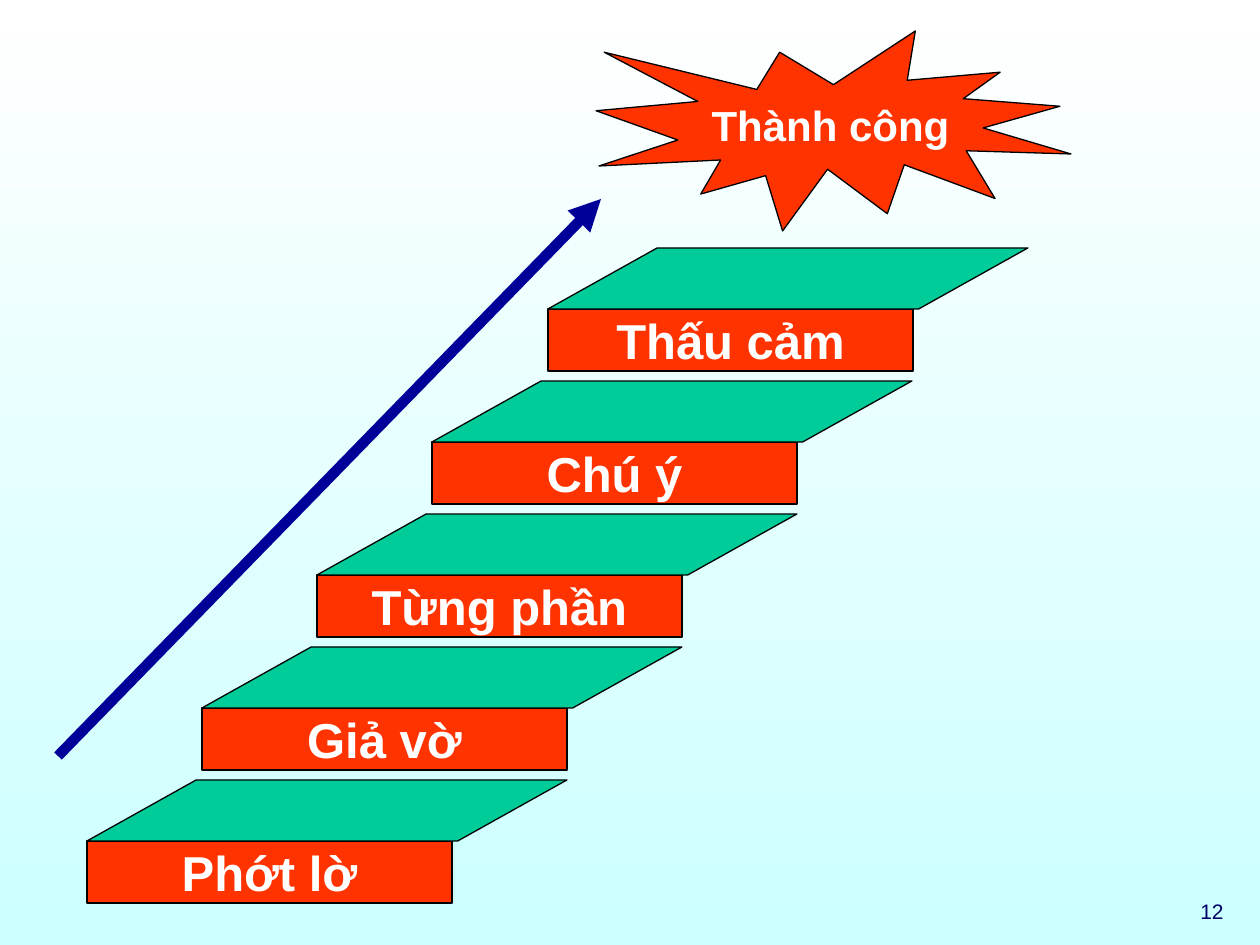
"""Build a staircase slide of listening levels that climb towards success."""
from dataclasses import dataclass

from lxml import etree
from pptx import Presentation
from pptx.dml.color import RGBColor
from pptx.enum.shapes import MSO_CONNECTOR, MSO_SHAPE
from pptx.enum.text import MSO_ANCHOR, PP_ALIGN
from pptx.oxml.ns import qn
from pptx.util import Emu, Pt

RECTANGLE = MSO_SHAPE.RECTANGLE
PARALLELOGRAM = MSO_SHAPE.PARALLELOGRAM
BURST = MSO_SHAPE.EXPLOSION1
STRAIGHT = MSO_CONNECTOR.STRAIGHT
MIDDLE = MSO_ANCHOR.MIDDLE
TOP = MSO_ANCHOR.TOP
CENTER = PP_ALIGN.CENTER
RIGHT = PP_ALIGN.RIGHT

WHITE = RGBColor(0xFF, 0xFF, 0xFF)
PALE_CYAN = RGBColor(0xCC, 0xFF, 0xFF)
BLACK = RGBColor(0x00, 0x00, 0x00)
RED = RGBColor(0xFF, 0x33, 0x00)
GREEN = RGBColor(0x00, 0xCC, 0x99)
BLUE = RGBColor(0x00, 0x00, 0x99)
NAVY = RGBColor(0x00, 0x00, 0x66)

FONT = "Arial"
PX_PER_INCH = 126
LEVELS = ("Phớt lờ", "Giả vờ", "Từng phần", "Chú ý", "Thấu cảm")
FIRST_LEFT, FIRST_TOP = 87, 780
TOTAL_RUN, RISE = 461, 133
TREAD_WIDTH, FRONT_WIDTH = 480, 365
TREAD_HEIGHT, FRONT_HEIGHT = 61, 62
TREAD_SLANT = 1.79


@dataclass(frozen=True)
class Box:
    """A rectangle in px."""
    left: int
    top: int
    width: int
    height: int

    def emu(self) -> tuple:
        """Return the four lengths in EMU."""
        return tuple(map(px, (self.left, self.top, self.width, self.height)))


@dataclass(frozen=True)
class Step:
    """One stair: its label and the corner of its tread."""
    label: str
    left: int
    top: int


def px(n: int) -> Emu:
    """Turn px into EMU."""
    return Emu(round(n * 914400 / PX_PER_INCH))


def add_block(shapes, kind, box: Box, fill: RGBColor):
    """Draw a filled shape with a thin black outline."""
    sp = shapes.add_shape(kind, *box.emu())
    sp.shadow.inherit = False
    sp.fill.solid()
    sp.fill.fore_color.rgb = fill
    sp.line.color.rgb = BLACK
    sp.line.width = Pt(0.75)
    return sp


def write(sp, text: str, size: int, color: RGBColor, bold: bool = True,
          align=CENTER, anchor=MIDDLE, wrap: bool = False) -> None:
    """Put one formatted line of text in a shape."""
    tf = sp.text_frame
    tf.word_wrap = wrap
    tf.vertical_anchor = anchor
    tf.text = text
    p = tf.paragraphs[0]
    p.alignment = align
    font = p.runs[0].font
    font.name, font.size, font.bold = FONT, Pt(size), bold
    font.color.rgb = color


def add_step(slide, step: Step) -> None:
    """Draw a labelled front with its slanted tread as one group."""
    shapes = slide.shapes.add_group_shape().shapes
    front = Box(step.left, step.top + TREAD_HEIGHT, FRONT_WIDTH, FRONT_HEIGHT)
    sp = add_block(shapes, RECTANGLE, front, RED)
    write(sp, step.label, 28, WHITE)
    sp.text_frame.margin_top = sp.text_frame.margin_bottom = 0
    tread = Box(step.left, step.top, TREAD_WIDTH, TREAD_HEIGHT)
    sp = add_block(shapes, PARALLELOGRAM, tread, GREEN)
    sp.adjustments[0] = TREAD_SLANT


def add_arrow(slide, start: tuple, end: tuple) -> None:
    """Draw a thick arrow between two points."""
    arrow = slide.shapes.add_connector(STRAIGHT, *map(px, start + end))
    arrow.line.color.rgb = BLUE
    arrow.line.width = Pt(6)
    properties = arrow._element.spPr
    etree.SubElement(properties.find(qn("a:ln")), qn("a:tailEnd"), type="triangle")
    etree.SubElement(properties, qn("a:effectLst"))


def set_background(slide) -> None:
    """Fill the background with a gradient from top to bottom."""
    fill = slide.background.fill
    fill.gradient()
    fill.gradient_angle = 270
    for stop, color in zip(fill.gradient_stops, (WHITE, PALE_CYAN)):
        stop.color.rgb = color


def main() -> None:
    """Build and save the slide."""
    prs = Presentation()
    prs.slide_width, prs.slide_height = px(1260), px(945)
    s = prs.slides.add_slide(prs.slide_layouts[6])
    set_background(s)

    for i, label in enumerate(LEVELS):
        left = FIRST_LEFT + TOTAL_RUN * i // (len(LEVELS) - 1)
        add_step(s, Step(label, left, FIRST_TOP - RISE * i))

    burst = add_block(s.shapes, BURST, Box(596, 31, 475, 200), RED)
    write(burst, "Thành công", 24, WHITE)
    add_arrow(s, (58, 756), (601, 199))

    number = s.shapes.add_textbox(*Box(939, 892, 297, 42).emu())
    write(number, "12", 12, NAVY, bold=False, align=RIGHT, anchor=TOP, wrap=True)
    prs.save("out.pptx")


if __name__ == "__main__":
    main()
